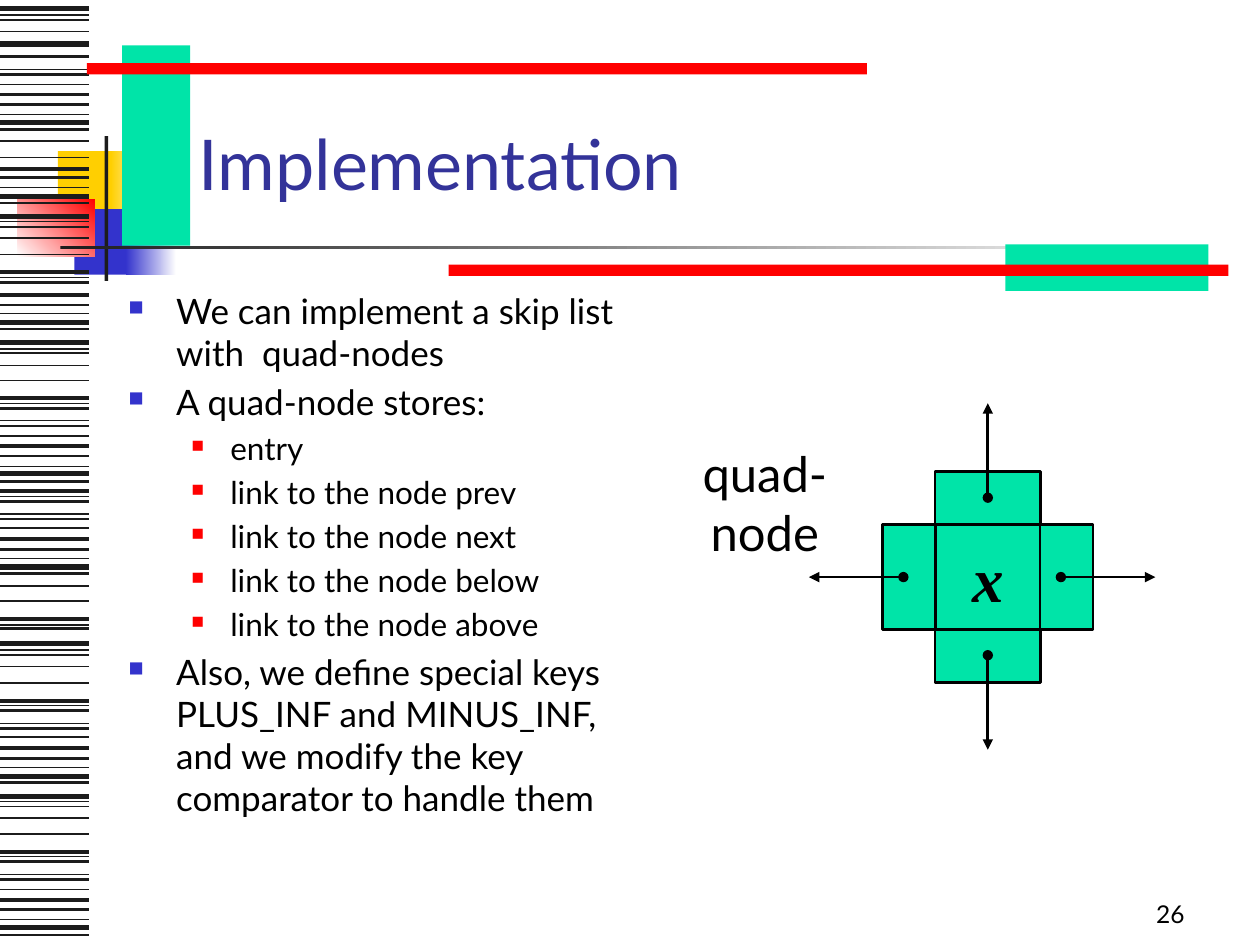
from pptx import Presentation
from pptx.dml.color import RGBColor
from pptx.enum.shapes import MSO_CONNECTOR, MSO_SHAPE
from pptx.enum.text import MSO_ANCHOR, PP_ALIGN
from pptx.oxml.ns import qn
from pptx.util import Inches, Pt
from lxml import etree

RECT, PLUS = MSO_SHAPE.RECTANGLE, MSO_SHAPE.CROSS
LINE = MSO_CONNECTOR.STRAIGHT
TOP, MIDDLE, BOTTOM = MSO_ANCHOR.TOP, MSO_ANCHOR.MIDDLE, MSO_ANCHOR.BOTTOM
LEFT, CENTER, RIGHT = PP_ALIGN.LEFT, PP_ALIGN.CENTER, PP_ALIGN.RIGHT
FONT = "Lato"

COLORS = {
    "black": "000000",
    "white": "FFFFFF",
    "ink": "1C1C1C",
    "gold": "FFCF01",
    "blue": "3333CC",
    "navy": "333399",
    "red": "FF0000",
    "green": "00E4A8",
}

STRIPES = {
    0.75: [0.12, 0.55, 0.91, 1.49, 1.76, 2.2, 2.49, 2.77, 3.2, 3.34, 3.7, 3.94,
           4.08, 4.43, 4.96, 5.16, 5.6, 5.74, 6.09, 6.36, 6.8, 6.94, 7.3],
    1: [0.16, 0.25, 0.67, 1.12, 1.25, 1.8, 1.89, 2.02, 2.8, 2.9, 3.02, 3.46,
        4.19, 4.65, 4.77, 5.2, 5.29, 5.42, 5.85, 6.4, 6.49, 6.62, 7.06],
    1.5: [0.45, 0.59, 0.83, 1.03, 1.41, 1.61, 2.24, 2.42, 2.61, 3.24, 3.38,
          3.62, 3.82, 3.98, 4.12, 4.36, 4.55, 4.99, 5.64, 5.78, 6.02, 6.21,
          6.84, 6.98, 7.22, 7.42],
    2.25: [0.75, 1.34, 2.16, 2.34, 3.16, 3.54, 3.9, 4.28, 4.91, 5.56, 5.94,
           6.76, 7.14],
    3: [0.07, 0.35, 0.97, 1.56, 1.72, 2.56, 2.72, 3.76, 4.5, 5.11, 6.16, 6.32,
        7.36],
}

LEVELS = [
    {"size": 20, "left": 0.38, "hang": 0.38, "color": "blue", "scale": 60},
    {"size": 18, "left": 0.81, "hang": 0.31, "color": "red", "scale": 55},
]

POINTS = [
    (0, "We can implement a skip list with  quad-nodes"),
    (0, "A quad-node stores:"),
    (1, "entry"),
    (1, "link to the node prev"),
    (1, "link to the node next"),
    (1, "link to the node below"),
    (1, "link to the node above"),
    (0, "Also, we define special keys PLUS_INF and MINUS_INF, "
        "and we modify the key comparator to handle them"),
]


def rgb(name):
    return RGBColor.from_string(COLORS[name])


def add_block(slide, box, fill, kind=RECT, fade=None, angle=0, edge=None):
    shape = slide.shapes.add_shape(kind, *map(Inches, box))
    shape.shadow.inherit = False
    if fade:
        shape.fill.gradient()
        shape.fill.gradient_angle = angle
        for stop, name in zip(shape.fill.gradient_stops, (fill, fade)):
            stop.color.rgb = rgb(name)
    else:
        shape.fill.solid()
        shape.fill.fore_color.rgb = rgb(fill)
    if edge:
        shape.line.color.rgb = rgb("black")
        shape.line.width = Pt(edge)
    else:
        shape.line.fill.background()
    return shape


def add_line(slide, start, end, color, width, ends=()):
    line = slide.shapes.add_connector(LINE, *map(Inches, (*start, *end)))
    line.line.color.rgb = rgb(color)
    line.line.width = Pt(width)
    for tag, kind in ends:
        etree.SubElement(line.line._get_or_add_ln(), qn(tag), type=kind)
    etree.SubElement(line._element.spPr, qn("a:effectLst"))


def set_font(para, size, color="black", name=FONT):
    para.font.size = Pt(size)
    para.font.name = name
    para.font.color.rgb = rgb(color)


def add_text(slide, box, text, size, color="black", align=LEFT, anchor=TOP, inset=0.1):
    frame = slide.shapes.add_textbox(*map(Inches, box)).text_frame
    frame.word_wrap = True
    frame.vertical_anchor = anchor
    frame.margin_left = frame.margin_right = Inches(inset)
    para = frame.paragraphs[0]
    para.text = text
    para.alignment = align
    set_font(para, size, color)


def set_bullet(para, level):
    props = para._p.get_or_add_pPr()
    props.set("marL", str(Inches(level["left"])))
    props.set("indent", str(-Inches(level["hang"])))
    tint = etree.Element(qn("a:buClr"))
    etree.SubElement(tint, qn("a:srgbClr"), val=COLORS[level["color"]])
    scale = etree.Element(qn("a:buSzPct"), val=str(level["scale"] * 1000))
    mark = etree.Element(qn("a:buChar"), char="\u25a0")
    spot = props.find(qn("a:defRPr"))
    for item in (tint, scale, mark):
        spot.addprevious(item)


def add_list(slide, box, points):
    frame = slide.shapes.add_textbox(*map(Inches, box)).text_frame
    frame.word_wrap = True
    for i, (depth, text) in enumerate(points):
        para = frame.add_paragraph() if i else frame.paragraphs[0]
        level = LEVELS[depth]
        para.text = text
        para.level = depth
        para.space_before = Pt(level["size"] * 0.2)
        set_font(para, level["size"])
        set_bullet(para, level)


def add_decor(slide):
    add_block(slide, (0.46, 1.2, 0.48, 0.52), "gold")
    add_block(slide, (0.88, 1.2, 0.36, 0.52), "gold", fade="white")
    add_block(slide, (0.59, 1.66, 0.46, 0.52), "blue")
    add_block(slide, (1, 1.66, 0.4, 0.52), "blue", fade="white")
    add_block(slide, (0.14, 1.58, 0.61, 0.46), "white", fade="red", angle=45)
    add_block(slide, (0.83, 1.08, 0.03, 1.15), "ink")
    add_block(slide, (0.48, 1.95, 9, 0.03), "ink", fade="white")
    for width, rows in STRIPES.items():
        for y in rows:
            add_line(slide, (0, y), (0.71, y), "ink", width)
    add_block(slide, (0.97, 0.36, 0.54, 1.59), "green")
    add_block(slide, (0.69, 0.5, 6.19, 0.09), "red")
    add_block(slide, (7.98, 1.94, 1.61, 0.37), "green")
    add_block(slide, (3.56, 2.1, 6.19, 0.09), "red")


def add_node(slide, x, y):
    arm, core = 1.67, 0.83
    cross = add_block(slide, (x - arm / 2, y - arm / 2, arm, arm), "green", PLUS, edge=1.5)
    cross.adjustments[0] = 0.25
    key = add_block(slide, (x - core / 2, y - core / 2, core, core), "green", edge=1.5)
    frame = key.text_frame
    frame.word_wrap = False
    frame.vertical_anchor = MIDDLE
    para = frame.paragraphs[0]
    para.text = "x"
    para.alignment = CENTER
    set_font(para, 36, name="Times New Roman")
    para.font.bold = para.font.italic = True
    ends = [("a:headEnd", "oval"), ("a:tailEnd", "triangle")]
    for dx, dy, near in ((1, 0, 0.58), (-1, 0, 0.67), (0, -1, 0.63), (0, 1, 0.62)):
        far = near + 0.75
        add_line(slide, (x + dx * near, y + dy * near),
                 (x + dx * far, y + dy * far), "black", 1.5, ends)


def main():
    deck = Presentation()
    deck.slide_width, deck.slide_height = Inches(10), Inches(7.5)
    slide = deck.slides.add_slide(deck.slide_layouts[6])
    add_decor(slide)
    add_text(slide, (7.42, 6.92, 2.08, 0.5), "26", 14, align=RIGHT, anchor=BOTTOM)
    add_text(slide, (1.48, 0.42, 8.52, 1.25), "Implementation", 40, "navy", anchor=BOTTOM)
    add_list(slide, (0.92, 2.25, 4.17, 4.75), POINTS)
    add_node(slide, 7.84, 4.58)
    add_text(slide, (5.05, 3.47, 2.04, 0.57), "quad-node", 28, align=CENTER, inset=0.3)
    deck.save("out.pptx")


main()
